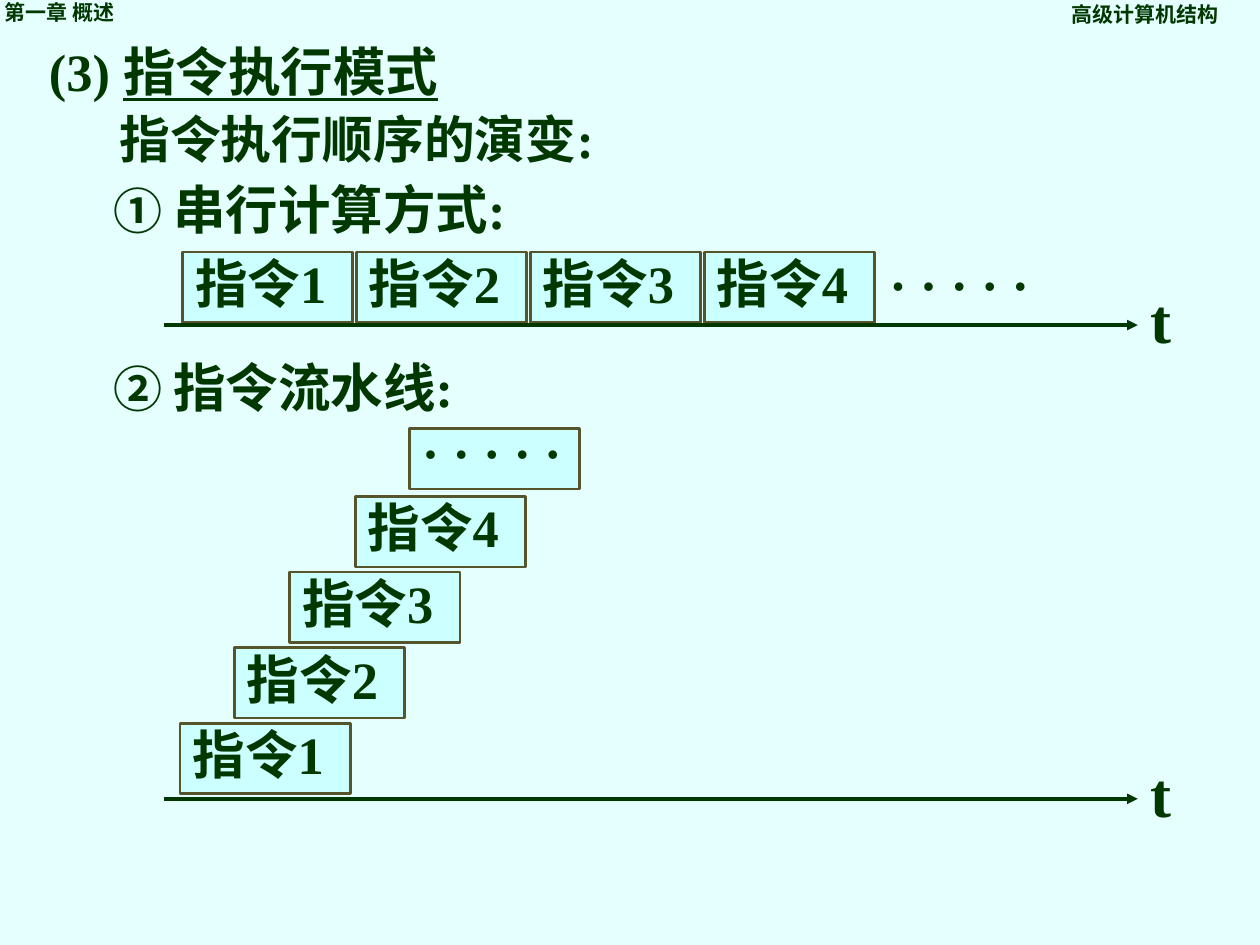
from dataclasses import dataclass
from lxml.etree import SubElement
from pptx import Presentation
from pptx.dml.color import RGBColor
from pptx.enum.shapes import MSO_CONNECTOR, MSO_SHAPE
from pptx.enum.text import MSO_ANCHOR, PP_ALIGN
from pptx.oxml.ns import qn
from pptx.util import Inches, Pt

COLS, ROWS = 100, 75


@dataclass(frozen=True)
class Theme:
    back: RGBColor = RGBColor(0xE5, 0xFF, 0xFF)
    ink: RGBColor = RGBColor(0x00, 0x38, 0x00)
    fill: RGBColor = RGBColor(0xCC, 0xFF, 0xFF)
    edge: RGBColor = RGBColor(0x55, 0x54, 0x2A)
    face: str = "Times New Roman"
    small: int = 12
    mark: int = 28
    lead: int = 29
    body: int = 30
    axis: int = 36


class Board:
    def __init__(self, deck, theme):
        self.theme = theme
        self.col, self.row = deck.slide_width / COLS, deck.slide_height / ROWS
        self.slide = deck.slides.add_slide(deck.slide_layouts[6])
        back = self.slide.background.fill
        back.solid()
        back.fore_color.rgb = theme.back

    def place(self, x, y, *size):
        """Turn grid columns and rows into slide lengths."""
        units = (self.col, self.row) * 2
        return [round(n * unit) for n, unit in zip((x, y, *size), units)]

    def letter(self, frame, lines, space=1.0):
        """Fill a frame; each line is a list of (text, size, underline) runs."""
        form = dict(word_wrap=True, vertical_anchor=MSO_ANCHOR.TOP,
                    margin_left=Inches(0.1), margin_right=Inches(0.05),
                    margin_top=Inches(0.05), margin_bottom=Inches(0.05))
        for key, value in form.items():
            setattr(frame, key, value)
        for i, runs in enumerate(lines):
            para = frame.add_paragraph() if i else frame.paragraphs[0]
            para.alignment, para.line_spacing = PP_ALIGN.LEFT, space
            for text, size, under in runs:
                run = para.add_run()
                run.text = text
                font = dict(name=self.theme.face, size=Pt(size), bold=True, underline=under)
                for key, value in font.items():
                    setattr(run.font, key, value)
                run.font.color.rgb = self.theme.ink
        return frame

    def text(self, area, *lines, space=1.0):
        box = self.slide.shapes.add_textbox(*self.place(*area))
        return self.letter(box.text_frame, lines, space)

    def box(self, area, label, space=0.9):
        box = self.slide.shapes.add_shape(MSO_SHAPE.RECTANGLE, *self.place(*area))
        box.shadow.inherit = False
        box.fill.solid()
        box.fill.fore_color.rgb = self.theme.fill
        box.line.color.rgb = self.theme.edge
        box.line.width = Pt(1.5)
        self.letter(box.text_frame, [[(label, self.theme.body, False)]], space)

    def axis(self, y):
        """Draw a time arrow with its label."""
        ends = self.place(13, y, 90.3, y)
        line = self.slide.shapes.add_connector(MSO_CONNECTOR.STRAIGHT, *ends)
        line.line.color.rgb = self.theme.ink
        line.line.width = Pt(2)
        props = line._element.spPr
        SubElement(props.find(qn("a:ln")), qn("a:tailEnd"), type="triangle")
        SubElement(props, qn("a:effectLst"))
        self.text((90.3, y - 4, 5.2, 7), [("t", self.theme.axis, False)])


def main():
    deck = Presentation()
    deck.slide_width, deck.slide_height = Inches(10), Inches(7.5)
    theme = Theme()
    board = Board(deck, theme)
    names = [f"指令{n}" for n in range(1, 5)]
    dots = "· · · · ·"

    board.text((-0.6, -0.5, 22.9, 3), [("第一章 概述", theme.small, False)])
    board.text((84.1, -0.5, 15.7, 3.1), [("高级计算机结构", theme.small, False)], space=1.05)
    title = board.text((2.9, 2.6, 92.4, 11.5),
                       [("(3) ", theme.body, False), ("指令执行模式", theme.body, True)],
                       [("指令执行顺序的演变:", theme.lead, False)])
    lead = title.paragraphs[1]
    lead.space_before = Pt(3.6)
    lead._p.get_or_add_pPr().set("marL", str(Inches(0.56)))

    for y, mark, head in ((13.6, "① ", "串行计算方式:"), (27.7, "② ", "指令流水线:")):
        board.text((8, y, 40.5, 6), [(mark, theme.mark, False), (head, theme.body, False)])

    for i, name in enumerate(names):
        board.box((14.5 + 13.8 * i, 20, 13.5, 5.6), name)
    board.text((69.6, 20.1, 13.5, 5.5), [(dots, theme.body, False)], space=0.9)
    board.axis(25.8)

    for i, (x, name) in enumerate(zip((14.3, 18.6, 23, 28.2), names)):
        board.box((x, 57.4 - 6 * i, 13.5, 5.6), name)
    board.box((32.5, 34, 13.5, 4.8), dots, space=0.75)
    board.axis(63.4)
    deck.save("out.pptx")


if __name__ == "__main__":
    main()
